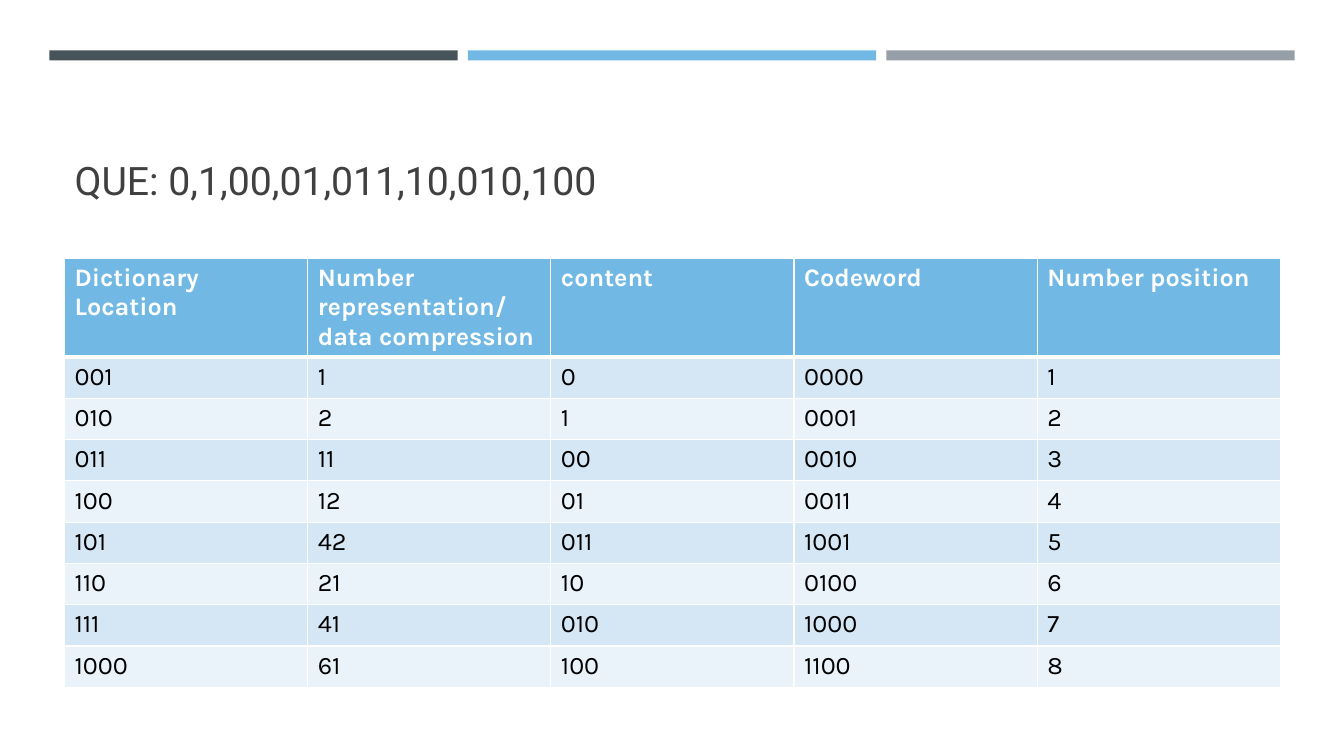
from lxml import etree
from pptx import Presentation
from pptx.dml.color import RGBColor
from pptx.enum import shapes, text
from pptx.oxml import ns
from pptx.util import Inches, Pt

COLORS = {
    "slate": "465359",
    "blue": "71B9E4",
    "gray": "969FA7",
    "title": "404040",
    "white": "FFFFFF",
    "black": "000000",
    "band_dark": "D5E6F5",
    "band_light": "EBF3FA",
}

TITLE_FONT = {"name": "Roboto", "size": Pt(28), "bold": False}
HEADER_FONT = {"name": "Karla", "size": Pt(18), "bold": True}
BODY_FONT = {**HEADER_FONT, "bold": False}

LEFT, CONTENT_WIDTH = 0.64, 12.06
BAR_LEFT, BAR_WIDTH, BAR_STEP = 0.49, 4.05, 4.15
HEADER_HEIGHT, ROW_HEIGHT = 0.97, 0.41

HEADERS = ["Dictionary Location", "Number representation/ data compression",
           "content", "Codeword", "Number position"]
ROWS = [
    ["001", "1", "0", "0000", "1"],
    ["010", "2", "1", "0001", "2"],
    ["011", "11", "00", "0010", "3"],
    ["100", "12", "01", "0011", "4"],
    ["101", "42", "011", "1001", "5"],
    ["110", "21", "10", "0100", "6"],
    ["111", "41", "010", "1000", "7"],
    ["1000", "61", "100", "1100", "8"],
]


def rgb(name):
    return RGBColor.from_string(COLORS[name])


def format_font(font, values, color):
    for name, value in values.items():
        setattr(font, name, value)
    font.color.rgb = rgb(color)


def add_bar(slide, index, color):
    shape = slide.shapes.add_shape(
        shapes.MSO_SHAPE.RECTANGLE, Inches(BAR_LEFT + index * BAR_STEP),
        Inches(0.5), Inches(BAR_WIDTH), Inches(0.1))
    shape.shadow.inherit = False
    shape.fill.solid()
    shape.fill.fore_color.rgb = rgb(color)
    shape.line.fill.background()


def set_title(slide, wording):
    title = slide.shapes.title
    box = {"left": LEFT, "top": 0.77, "width": CONTENT_WIDTH, "height": 1.3}
    for name, value in box.items():
        setattr(title, name, Inches(value))
    frame = title.text_frame
    frame.text = wording
    frame.vertical_anchor = text.MSO_ANCHOR.BOTTOM
    paragraph = frame.paragraphs[0]
    paragraph.alignment = text.PP_ALIGN.LEFT
    format_font(paragraph.runs[0].font, TITLE_FONT, "title")


def set_borders(cell, widths):
    properties = cell._tc.get_or_add_tcPr()
    for position, (side, width) in enumerate(widths.items()):
        line = etree.Element(ns.qn(f"a:ln{side}"), w=str(Pt(width)))
        fill = etree.SubElement(line, ns.qn("a:solidFill"))
        etree.SubElement(fill, ns.qn("a:srgbClr"), val=COLORS["white"])
        properties.insert(position, line)


def fill_cell(cell, wording, fill, font, color, top=1, bottom=1):
    cell.text = wording
    cell.fill.solid()
    cell.fill.fore_color.rgb = rgb(fill)
    format_font(cell.text_frame.paragraphs[0].runs[0].font, font, color)
    set_borders(cell, {"L": 1, "R": 1, "T": top, "B": bottom})


def add_code_table(slide):
    height = HEADER_HEIGHT + len(ROWS) * ROW_HEIGHT
    table = slide.shapes.add_table(
        len(ROWS) + 1, len(HEADERS), Inches(LEFT), Inches(2.56),
        Inches(CONTENT_WIDTH), Inches(height)).table
    for row in table.rows:
        row.height = Inches(ROW_HEIGHT)
    table.rows[0].height = Inches(HEADER_HEIGHT)

    # Header row
    for column, wording in enumerate(HEADERS):
        fill_cell(table.cell(0, column), wording, "blue", HEADER_FONT,
                  "white", bottom=3)

    # Banded body rows
    for index, values in enumerate(ROWS, start=1):
        band = "band_dark" if index % 2 else "band_light"
        for column, wording in enumerate(values):
            fill_cell(table.cell(index, column), wording, band, BODY_FONT,
                      "black", top=3 if index == 1 else 1)


def main():
    presentation = Presentation()
    presentation.slide_width = Inches(13.33)
    presentation.slide_height = Inches(7.5)
    slide = presentation.slides.add_slide(presentation.slide_layouts[5])

    # Bars along the top
    for index, color in enumerate(["slate", "blue", "gray"]):
        add_bar(slide, index, color)

    # Title and table
    set_title(slide, "QUE: 0,1,00,01,011,10,010,100")
    add_code_table(slide)

    presentation.save("out.pptx")


if __name__ == "__main__":
    main()
